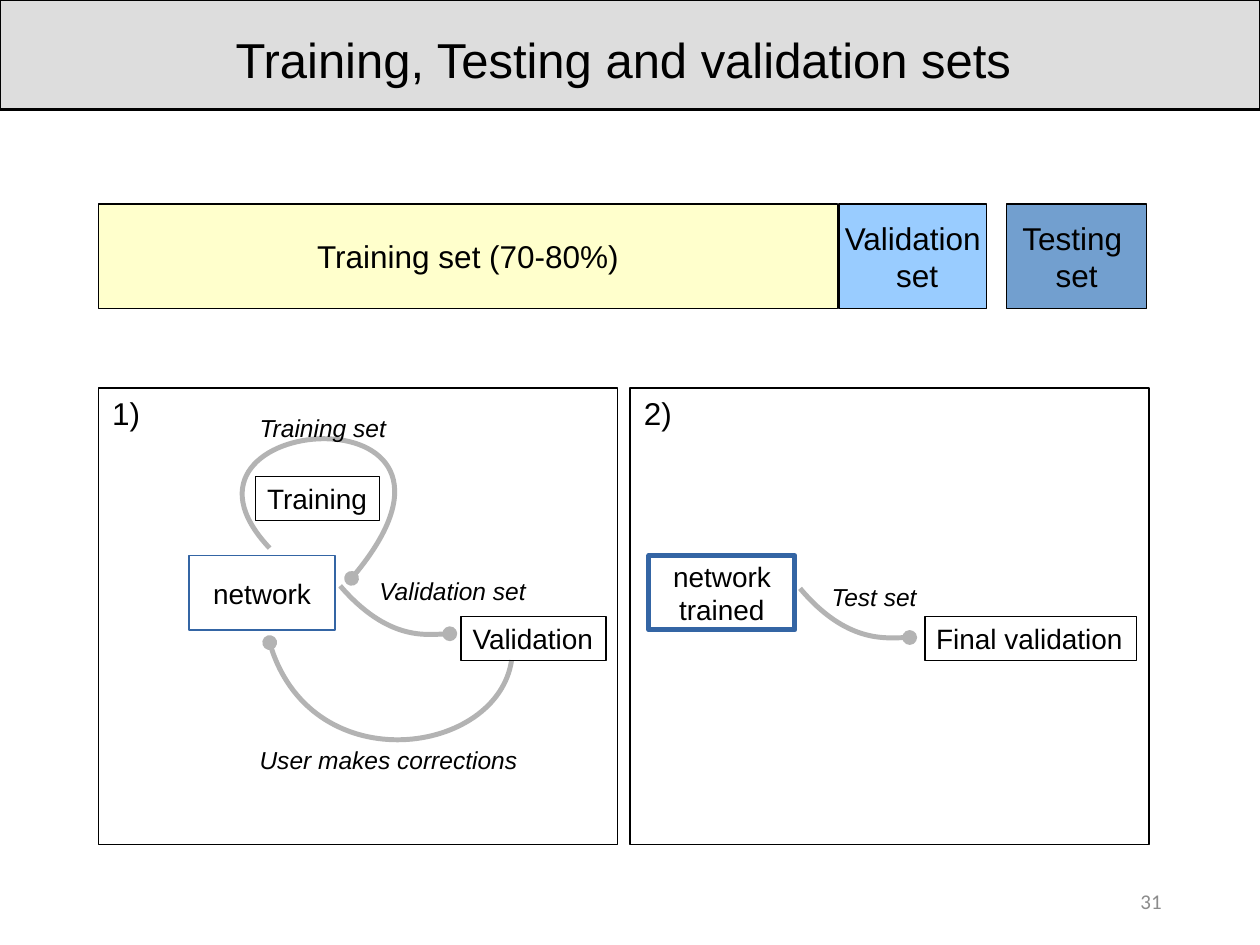
import pptx
import pptx.util
import pptx.dml.color
import pptx.enum.shapes
import pptx.enum.text
import pptx.oxml
import pptx.oxml.ns

Inches, Pt = pptx.util.Inches, pptx.util.Pt
RECT = pptx.enum.shapes.MSO_SHAPE.RECTANGLE
ANCHOR = pptx.enum.text.MSO_ANCHOR
ALIGN = pptx.enum.text.PP_ALIGN
AUTO = pptx.enum.text.MSO_AUTO_SIZE
rgb = pptx.dml.color.RGBColor.from_string
qn = pptx.oxml.ns.qn


def add_box(x, y, w, h, fill=None, line=None, width=0):
    sp = s.shapes.add_shape(RECT, Inches(x), Inches(y), Inches(w), Inches(h))
    sp.shadow.inherit = False
    if fill:
        sp.fill.solid()
        sp.fill.fore_color.rgb = rgb(fill)
    else:
        sp.fill.background()
    if line:
        sp.line.color.rgb = rgb(line)
        sp.line.width = Pt(width)
    else:
        sp.line.fill.background()
    return sp


def write(sp, lines, size, align=ALIGN.LEFT, anchor=ANCHOR.TOP, italic=False,
          color="000000", font="Arial", wrap=False, grow=False):
    tf = sp.text_frame
    tf.word_wrap = wrap
    tf.auto_size = AUTO.SHAPE_TO_FIT_TEXT if grow else AUTO.NONE
    tf.vertical_anchor = anchor
    tf.margin_left = tf.margin_right = Inches(0.09)
    tf.margin_top = tf.margin_bottom = Inches(0.04)
    for i, text in enumerate(lines):
        p = tf.add_paragraph() if i else tf.paragraphs[0]
        p.alignment = align
        r = p.add_run()
        r.text = text
        r.font.name = font
        r.font.size = Pt(size)
        r.font.italic = italic
        r.font.color.rgb = rgb(color)


prs = pptx.Presentation()
prs.slide_width, prs.slide_height = Inches(10), Inches(7.5)
s = prs.slides.add_slide(prs.slide_layouts[5])

banner = add_box(0, 0, 10, 0.87, "DDDDDD", "000000", 1.5)
title = s.shapes.title
title.left, title.top = Inches(0), Inches(0.19)
title.width, title.height = Inches(10), Inches(0.55)
write(title, ["Training, Testing and validation sets "], 28, ALIGN.CENTER, wrap=True)
banner.element.addnext(title.element)

for x, w, fill, lines in [
    (7.99, 1.11, "729FCF", ["Testing ", "set"]),
    (6.66, 1.17, "99CCFF", ["Validation", " set"]),
    (0.78, 5.87, "FFFFCC", ["Training set (70-80%)"]),
]:
    sp = add_box(x, 1.62, w, 0.83, fill, "000000")
    write(sp, lines, 18, ALIGN.CENTER, ANCHOR.MIDDLE)

for x, width, lines in [(1.5, 0, ["network"]), (5.15, 2.83, ["network", "trained"])]:
    sp = add_box(x, 4.41, 1.16, 0.59, None, "3465A4", width)
    write(sp, lines, 16, ALIGN.CENTER, ANCHOR.MIDDLE)

for start, *controls in [
    [(2.14, 4.35), (1.12, 3.27), (4.11, 3.04), (2.79, 4.59)],
    [(2.7, 4.65), (3.08, 5.09), (3.57, 5.03), (3.57, 5.03)],
    [(4.06, 5.24), (3.95, 5.99), (2.46, 6.21), (2.14, 5.1)],
    [(6.35, 4.67), (6.72, 5.11), (7.22, 5.06), (7.22, 5.06)],
]:
    fb = s.shapes.build_freeform(Inches(start[0]), Inches(start[1]))
    fb.add_line_segments([(Inches(x), Inches(y)) for x, y in controls], close=False)
    sp = fb.convert_to_shape()
    sp.shadow.inherit = False
    sp.fill.background()
    sp.line.color.rgb = rgb("B3B3B3")
    sp.line.width = Pt(2.83)
    segments = list(sp.element.iter(qn("a:lnTo")))
    curve = pptx.oxml.parse_xml(f"<a:cubicBezTo {pptx.oxml.ns.nsdecls('a')}/>")
    segments[0].addprevious(curve)
    for seg in segments:
        curve.append(seg[0])
        seg.getparent().remove(seg)
    tail = pptx.oxml.parse_xml(f"<a:tailEnd {pptx.oxml.ns.nsdecls('a')} type='oval'/>")
    sp.element.spPr.find(qn("a:ln")).append(tail)

for x, y, w, text in [
    (1.97, 3.24, 1.2, "Training set"),
    (2.92, 4.53, 1.35, "Validation set"),
    (1.97, 5.87, 2.24, "User makes corrections"),
    (6.51, 4.58, 0.86, "Test set"),
]:
    sp = s.shapes.add_textbox(Inches(x), Inches(y), Inches(w), Inches(0.32))
    write(sp, [text], 14, italic=True, grow=True)

for x, y, w, text in [
    (2.03, 3.78, 0.98, "Training"),
    (3.66, 4.89, 1.15, "Validation"),
    (7.34, 4.89, 1.68, "Final validation"),
]:
    write(add_box(x, y, w, 0.35, None, "000000"), [text], 16, grow=True)

for x, text in [(0.78, "1)"), (5, "2)")]:
    add_box(x, 3.08, 4.12, 3.62, None, "000000")
    sp = s.shapes.add_textbox(Inches(x + 0.02), Inches(3.09), Inches(0.45), Inches(0.38))
    write(sp, [text], 18, grow=True)

sp = s.shapes.add_textbox(Inches(7.06), Inches(6.95), Inches(2.25), Inches(0.4))
write(sp, ["31"], 12, ALIGN.RIGHT, ANCHOR.MIDDLE, color="8C8C8C", font="Calibri", wrap=True)

prs.save("out.pptx")
